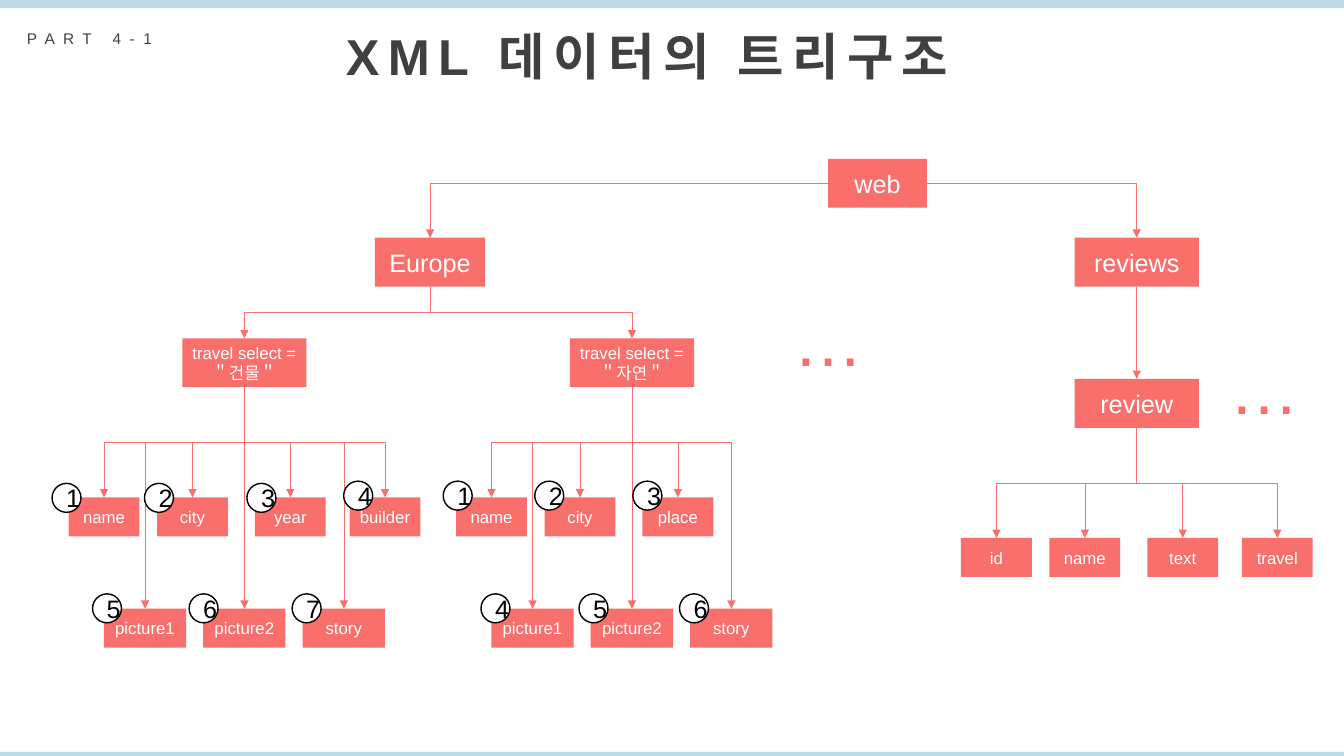
from dataclasses import dataclass

from lxml import etree
from pptx import Presentation
from pptx.dml.color import RGBColor
from pptx.enum.shapes import MSO_CONNECTOR, MSO_SHAPE
from pptx.enum.text import MSO_ANCHOR, MSO_AUTO_SIZE, PP_ALIGN
from pptx.oxml.ns import qn
from pptx.util import Pt

CORAL = RGBColor(0xF8, 0x6F, 0x6C)
PALE_BLUE = RGBColor(0xBE, 0xDA, 0xE5)
DARK_GREY = RGBColor(0x40, 0x40, 0x40)
WHITE = RGBColor(0xFF, 0xFF, 0xFF)
BLACK = RGBColor(0, 0, 0)

RECTANGLE = MSO_SHAPE.RECTANGLE
CIRCLE = MSO_SHAPE.FLOWCHART_CONNECTOR
STRAIGHT, ELBOW = MSO_CONNECTOR.STRAIGHT, MSO_CONNECTOR.ELBOW
CENTER, LEFT = PP_ALIGN.CENTER, PP_ALIGN.LEFT
MIDDLE, TOP = MSO_ANCHOR.MIDDLE, MSO_ANCHOR.TOP
FIT_SHAPE = MSO_AUTO_SIZE.SHAPE_TO_FIT_TEXT

FONT = "Arial"
TOP_SIDE, LEFT_SIDE, BOTTOM_SIDE, RIGHT_SIDE = range(4)
SLIDE_WIDTH, SLIDE_HEIGHT = 960, 540

# Tree measures, in points
NODE_HEIGHT, BRANCH_WIDTH = 34.9, 88.7
LEAF_HEIGHT, UPPER_WIDTH, LOWER_WIDTH = 27.9, 50.6, 58.8
UPPER_OFFSETS = (-100.3, -37.1, 32.8, 100.4)
LOWER_OFFSETS = (-71, 0, 71)
UPPER_DROP, LOWER_DROP, BUS_DROP = 78.7, 158.2, 39.4
BADGE_SIZE = 20.7


@dataclass(frozen=True)
class Node:
    text: str
    center: float
    top: float
    width: float
    height: float = NODE_HEIGHT
    size: float = 18


@dataclass(frozen=True)
class Family:
    parent: Node
    upper: tuple[str, ...]
    lower: tuple[str, ...] = ()


@dataclass(frozen=True)
class BadgeRow:
    first: int
    top: float
    lefts: tuple[float, ...]


WEB = Node("web", 626.8, 113.5, 70.6)
EUROPE = Node("Europe", 307.2, 169.8, 78.7)
REVIEWS = Node("reviews", 812, 169.8, BRANCH_WIDTH)
FAMILIES = (
    Family(Node("travel select = ＂건물＂", 174.6, 241.7, BRANCH_WIDTH, size=12),
           ("name", "city", "year", "builder"), ("picture1", "picture2", "story")),
    Family(Node("travel select = ＂자연＂", 451.4, 241.7, BRANCH_WIDTH, size=12),
           ("name", "city", "place"), ("picture1", "picture2", "story")),
    Family(Node("review", 812, 270.7, BRANCH_WIDTH), ("id", "name", "text", "travel")),
)
BADGE_ROWS = (
    BadgeRow(1, 345.3, (37.2, 103.2, 176.4)),
    BadgeRow(4, 343.7, (245.5,)),
    BadgeRow(5, 424.2, (66.1, 135.1, 208.7)),
    BadgeRow(1, 343.7, (316.6, 382, 452.1)),
    BadgeRow(4, 424.2, (343.6, 413.6, 485.4)),
)
ELLIPSES = ((536.4, 207.4, 110.9), (859.7, 241.9, 87.1))


def add_box(slide, kind, left, top, width, height, fill, text="", size=12, color=WHITE):
    shape = slide.shapes.add_shape(kind, Pt(left), Pt(top), Pt(width), Pt(height))
    shape.shadow.inherit = False
    shape.fill.solid()
    shape.fill.fore_color.rgb = fill
    shape.line.fill.background()
    if text:
        shape.text_frame.vertical_anchor = MIDDLE
        paragraph = shape.text_frame.paragraphs[0]
        paragraph.text = text
        paragraph.alignment = CENTER
        style_font(paragraph, size, color)
    return shape


def style_font(paragraph, size: float, color: RGBColor, bold: bool = False) -> None:
    font = paragraph.font
    font.name, font.size, font.bold = FONT, Pt(size), bold
    font.color.rgb = color


def add_node(slide, node: Node):
    return add_box(slide, RECTANGLE, node.center - node.width / 2, node.top,
                   node.width, node.height, CORAL, node.text, node.size)


def add_arrow(slide, kind, parent, child, side: int = BOTTOM_SIDE):
    connector = slide.shapes.add_connector(kind, 0, 0, 0, 0)
    connector.begin_connect(parent, side)
    connector.end_connect(child, TOP_SIDE)
    connector.line.width = Pt(0.5)
    connector.line.color.rgb = CORAL
    properties = connector._element.spPr
    etree.SubElement(properties.find(qn("a:ln")), qn("a:tailEnd"), type="triangle")
    etree.SubElement(properties, qn("a:effectLst"))
    return connector


def add_corner(slide, parent, child, side: int) -> None:
    """Run sideways from the parent, then down to the child."""
    connector = add_arrow(slide, ELBOW, parent, child, side)
    connector._element.spPr.find(qn("a:prstGeom")).set("prst", "bentConnector2")


def add_drop(slide, parent, child, bend: float = 0.5) -> None:
    """Run down, sideways and down again; bend is the share of the first drop."""
    start_x, start_y = parent.left + parent.width // 2, parent.top + parent.height
    end_x, end_y = child.left + child.width // 2, child.top
    if abs(end_x - start_x) < Pt(1):
        add_arrow(slide, STRAIGHT, parent, child)
        return
    connector = add_arrow(slide, ELBOW, parent, child)
    across, down = abs(end_x - start_x), end_y - start_y
    connector.left, connector.top = (start_x + end_x - down) // 2, (start_y + end_y - across) // 2
    connector.width, connector.height = down, across
    properties = connector._element.spPr
    frame = properties.find(qn("a:xfrm"))
    frame.attrib.clear()
    frame.set("rot", "5400000" if end_x < start_x else "16200000")
    if end_x > start_x:
        frame.set("flipH", "1")
    adjustments = properties.find(qn("a:prstGeom")).find(qn("a:avLst"))
    etree.SubElement(adjustments, qn("a:gd"), name="adj1", fmla=f"val {round(bend * 100000)}")


def add_family(slide, family: Family):
    parent = add_node(slide, family.parent)
    bottom = family.parent.top + NODE_HEIGHT
    rows = ((family.upper, UPPER_OFFSETS, UPPER_DROP, UPPER_WIDTH),
            (family.lower, LOWER_OFFSETS, LOWER_DROP, LOWER_WIDTH))
    for names, offsets, drop, width in rows:
        for name, offset in zip(names, offsets):
            leaf = Node(name, family.parent.center + offset, bottom + drop, width, LEAF_HEIGHT, 12)
            add_drop(slide, parent, add_node(slide, leaf), BUS_DROP / drop)
    return parent


def set_heading(shape, text: str, frame: tuple, size: float, bold: bool) -> None:
    shape.left, shape.top, shape.width, shape.height = map(Pt, frame)
    text_frame = shape.text_frame
    text_frame.word_wrap = False
    text_frame.auto_size = FIT_SHAPE
    text_frame.vertical_anchor = TOP
    paragraph = text_frame.paragraphs[0]
    paragraph.text = text
    paragraph.alignment = LEFT
    style_font(paragraph, size, DARK_GREY, bold)
    paragraph.runs[0].font._element.set("spc", "600")


def main() -> None:
    presentation = Presentation()
    presentation.slide_width, presentation.slide_height = Pt(SLIDE_WIDTH), Pt(SLIDE_HEIGHT)
    slide = presentation.slides.add_slide(presentation.slide_layouts[5])

    # Edge bars and headings
    for bar_top in (0, 537.1):
        add_box(slide, RECTANGLE, 0, bar_top, SLIDE_WIDTH, 5.8, PALE_BLUE)
    set_heading(slide.shapes.title, "XML 데이터의 트리구조", (239.8, 14.4, 480.2, 51.1), 36, True)
    part_label = slide.shapes.add_textbox(0, 0, 0, 0)
    set_heading(part_label, "PART 4-1", (12.2, 17.3, 111.6, 20.9), 11, False)

    # Tree
    web, europe, reviews = (add_node(slide, node) for node in (WEB, EUROPE, REVIEWS))
    add_corner(slide, web, europe, LEFT_SIDE)
    add_corner(slide, web, reviews, RIGHT_SIDE)
    buildings, nature, review = (add_family(slide, family) for family in FAMILIES)
    for grandparent, parent in ((europe, buildings), (europe, nature), (reviews, review)):
        add_drop(slide, grandparent, parent)

    # Ellipses for further branches
    for left, top, width in ELLIPSES:
        add_box(slide, RECTANGLE, left, top, width, 68.4, WHITE, "…", 50, CORAL)

    # Numbered badges
    for row in BADGE_ROWS:
        for number, left in enumerate(row.lefts, row.first):
            badge = add_box(slide, CIRCLE, left, row.top, BADGE_SIZE, BADGE_SIZE,
                            WHITE, str(number), 18, BLACK)
            badge.line.color.rgb = BLACK
            badge.line.width = Pt(1)

    presentation.save("out.pptx")


if __name__ == "__main__":
    main()
